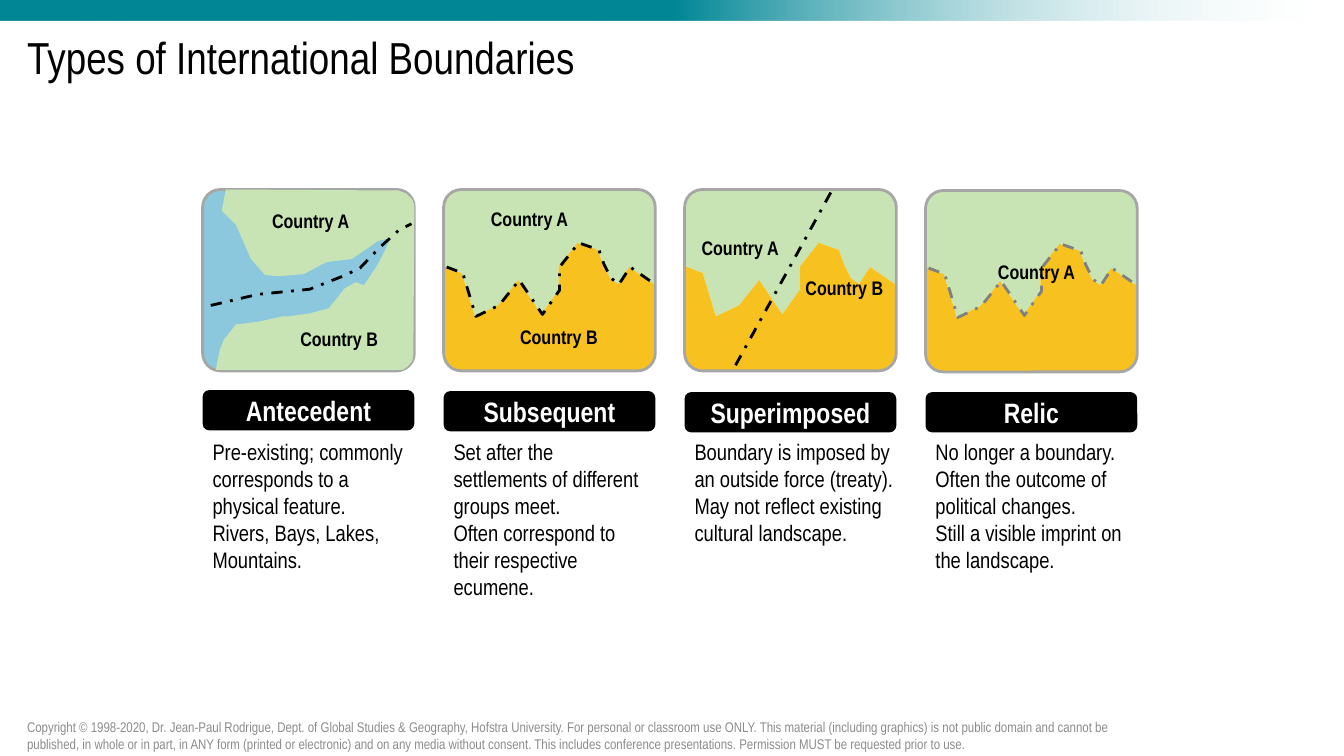
import math
from pptx import Presentation, util as u
from pptx.dml.color import RGBColor
from pptx.enum import dml, shapes, text
from pptx.oxml import ns
from lxml import etree

# Content
TITLE = "Types of International Boundaries"
COPYRIGHT = (
    "Copyright © 1998-2020, Dr. Jean-Paul Rodrigue, Dept. of Global Studies & Geography, "
    "Hofstra University. For personal or classroom use ONLY. This material (including graphics) "
    "is not public domain and cannot be published, in whole or in part, in ANY form (printed or "
    "electronic) and on any media without consent. This includes conference presentations. "
    "Permission MUST be requested prior to use.")
# Country positions are offsets from the top left of each map
BOUNDARIES = [
    dict(name="Antecedent", top=188, name_top=387, text_width=210, text_height=145,
         notes=["Pre-existing; commonly corresponds to a physical feature.",
                "Rivers, Bays, Lakes, Mountains."],
         countries=[("Country A", 59, 14), ("Country B", 87, 131)]),
    dict(name="Subsequent", top=188, name_top=388, text_width=208, text_height=172,
         notes=["Set after the settlements of different groups meet.",
                "Often correspond to their respective ecumene."],
         countries=[("Country A", 37, 12), ("Country B", 66, 129)]),
    dict(name="Superimposed", top=188, name_top=389, text_width=218, text_height=118,
         notes=["Boundary is imposed by an outside force (treaty).",
                "May not reflect existing cultural landscape."],
         countries=[("Country A", 7, 41), ("Country B", 110, 81)]),
    dict(name="Relic", top=189, name_top=389, text_width=210, text_height=145,
         notes=["No longer a boundary.", "Often the outcome of political changes.",
                "Still a visible imprint on the landscape."],
         countries=[("Country A", 62, 64)]),
]

# Map outlines, as offsets from the top left of a map
LAND = [(23, 0), (19, 21), (33, 35), (40, 51), (48, 69), (62, 85), (75, 86), (100, 84),
        (123, 72), (148, 69), (167, 56), (174, 51), (187, 48), (174, 74), (160, 95),
        (152, 92), (141, 98), (125, 118), (106, 123), (84, 126), (79, 126), (56, 131),
        (33, 134), (21, 149), (17, 159), (13, 179), (198, 179), (203, 176), (208, 170),
        (209, 164), (210, 16), (208, 10), (202, 4), (194, 1)]
RIVER_LINE = [(8, 115), (55, 104), (106, 99), (139, 86), (156, 78), (175, 58), (195, 40), (207, 34)]
DIVIDE = [(0, 76), (18, 83), (31, 126), (54, 115), (74, 90), (97, 124), (114, 100), (114, 77),
          (133, 53), (153, 60), (158, 74), (165, 88), (173, 94), (184, 77), (210, 95)]
DIVIDE_LINE = [(3, 77)] + [(x + 1, y) for x, y in DIVIDE[1:-1]] + [(208, 93)]
TREATY_LINE = [(145, 3), (48, 179)]

THEME = dict(font="Arial Narrow", teal="008695", white="FFFFFF", black="000000",
             footer="8C8C8C", water="8BC8DD", land="C9E4B4", ochre="F7C120",
             frame="A6A6A6", relic="808080",
             title_size=32, name_size=20, note_size=16, country_size=14, footer_size=10)

# Layout in px, 100 px to the inch
PX = 9144
MAP_LEFT, MAP_STEP, MAP_WIDTH, MAP_HEIGHT, RADIUS = 201, 239, 210, 180, 18
NAME_HEIGHT, NOTES_TOP = 40, 430


def color(name):
    return RGBColor.from_string(THEME[name])


def style(shape, fill=None, line=None, dashed=False):
    shape.shadow.inherit = False
    if fill:
        shape.fill.solid()
        shape.fill.fore_color.rgb = color(fill)
    else:
        shape.fill.background()
    if line:
        style_line(shape.line, line, dashed)
    else:
        shape.line.fill.background()


def style_line(line, name, dashed):
    line.color.rgb = color(name)
    line.width = u.Pt(2)
    if dashed:
        line.dash_style = dml.MSO_LINE.DASH_DOT


def add_preset(kind, left, top, width, height, **look):
    shape = slide.shapes.add_shape(kind, left * PX, top * PX, width * PX, height * PX)
    style(shape, **look)
    return shape


def add_frame(left, top, **look):
    frame = add_preset(shapes.MSO_SHAPE.ROUNDED_RECTANGLE, left, top,
                       MAP_WIDTH, MAP_HEIGHT, line="frame", **look)
    frame.adjustments[0] = 0.098


def add_outline(points, left, top, closed=True, **look):
    placed = [(left + x, top + y) for x, y in points]
    builder = slide.shapes.build_freeform(*placed[0], scale=PX)
    builder.add_line_segments(placed[1:], close=closed)
    style(builder.convert_to_shape(), **look)


def write(shape, paragraphs, size, name="black", bold=False, wrap=True, anchor="TOP",
          align="LEFT", grow=False, spacing=None):
    frame = shape.text_frame
    frame.word_wrap = wrap
    frame.vertical_anchor = text.MSO_ANCHOR[anchor]
    if grow:
        frame.auto_size = text.MSO_AUTO_SIZE.SHAPE_TO_FIT_TEXT
    for index, words in enumerate(paragraphs):
        paragraph = frame.add_paragraph() if index else frame.paragraphs[0]
        paragraph.alignment = text.PP_ALIGN[align]
        if spacing:
            paragraph.line_spacing = spacing
        run = paragraph.add_run()
        run.text = words
        run.font.name = THEME["font"]
        run.font.size = u.Pt(THEME[size])
        run.font.bold = bold
        run.font.color.rgb = color(name)


def add_text(left, top, width, height, paragraphs, size, **options):
    box = slide.shapes.add_textbox(left * PX, top * PX, width * PX, height * PX)
    write(box, paragraphs, size, **options)


def corner(center_x, center_y, start):
    """Quarter circle, clockwise on the slide, from a start angle in degrees."""
    angles = [math.radians(start + step) for step in range(0, 91, 15)]
    return [(round(center_x + RADIUS * math.cos(a)), round(center_y + RADIUS * math.sin(a)))
            for a in angles]


def add_divided_land(left, top):
    right, bottom = MAP_WIDTH - RADIUS, MAP_HEIGHT - RADIUS
    north = corner(RADIUS, RADIUS, 180) + corner(right, RADIUS, 270) + DIVIDE[::-1]
    south = corner(right, bottom, 0) + corner(RADIUS, bottom, 90) + DIVIDE
    add_outline(north, left, top, fill="land")
    add_outline(south, left, top, fill="ochre")
    add_frame(left, top)


presentation = Presentation()
presentation.slide_width, presentation.slide_height = 1333 * PX, 750 * PX
slide = presentation.slides.add_slide(presentation.slide_layouts[6])

# Top band fading to clear, title and copyright line
band = add_preset(shapes.MSO_SHAPE.RECTANGLE, 0, 0, 1333, 20)
band.fill.gradient()
band.fill.gradient_angle = 0
for stop, (position, name) in zip(band.fill.gradient_stops, [(0.5, "teal"), (1, "white")]):
    stop.position = position
    stop.color.rgb = color(name)
clear_color = list(band._element.iter(ns.qn("a:srgbClr")))[1]
etree.SubElement(clear_color, ns.qn("a:alpha"), val="0")
add_text(17, 20, 1300, 80, [TITLE], "title_size", anchor="MIDDLE", spacing=0.9)
add_text(17, 710, 1095, 40, [COPYRIGHT], "footer_size", name="footer", anchor="MIDDLE")

# One column per boundary type
for column, boundary in enumerate(BOUNDARIES):
    left, top = MAP_LEFT + column * MAP_STEP, boundary["top"]

    # Map and its border line
    if boundary["name"] == "Antecedent":
        add_frame(left, top, fill="water")
        add_outline(LAND, left, top, fill="land")
        add_outline(RIVER_LINE, left, top, closed=False, line="black", dashed=True)
    else:
        add_divided_land(left, top)
    if boundary["name"] == "Superimposed":
        ends = [(offset + origin) * PX for point in TREATY_LINE
                for offset, origin in zip(point, (left, top))]
        treaty = slide.shapes.add_connector(shapes.MSO_CONNECTOR.STRAIGHT, *ends)
        style_line(treaty.line, "black", True)
        etree.SubElement(treaty._element.spPr, ns.qn("a:effectLst"))
    elif boundary["name"] != "Antecedent":
        add_outline(DIVIDE_LINE, left, top, closed=False, dashed=True,
                    line="relic" if boundary["name"] == "Relic" else "black")
    for country, x, y in boundary["countries"]:
        add_text(left + x, top + y, 97, 34, [country], "country_size",
                 bold=True, wrap=False, grow=True)

    # Name and description
    plate = add_preset(shapes.MSO_SHAPE.ROUNDED_RECTANGLE, left, boundary["name_top"],
                       MAP_WIDTH, NAME_HEIGHT, fill="black")
    write(plate, [boundary["name"]], "name_size", name="white", bold=True,
          anchor="MIDDLE", align="CENTER")
    add_text(left, NOTES_TOP, boundary["text_width"], boundary["text_height"],
             boundary["notes"], "note_size", grow=True)

presentation.save("out.pptx")
